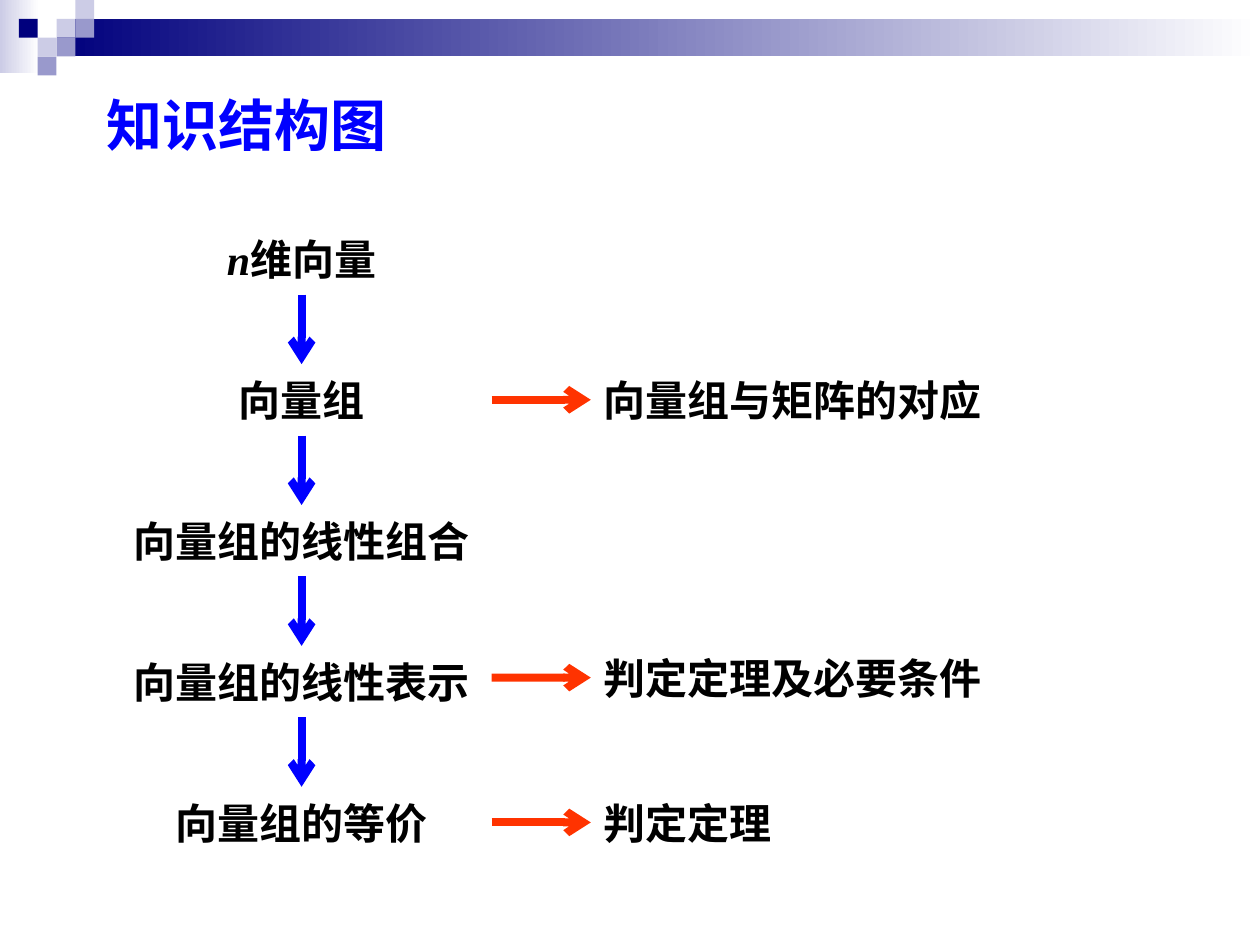
from lxml.etree import SubElement
from pptx import Presentation
from pptx.dml.color import RGBColor
from pptx.enum.shapes import MSO_CONNECTOR as CONN, MSO_SHAPE as SHAPE
from pptx.enum.text import MSO_ANCHOR as ANCHOR, PP_ALIGN as ALIGN
from pptx.oxml.ns import qn
from pptx.util import Cm, Pt


def rgb(value):
    return RGBColor.from_string(value)


class Deck:
    latin = "Times New Roman"
    cjk = "Noto Sans CJK SC"
    navy, lilac, violet, white = "00007D", "CCCCE6", "9999CC", "FFFFFF"
    blue, red, black = "0000FF", "FF3300", "000000"

    def __init__(self, prs):
        self.s = prs.slides.add_slide(prs.slide_layouts[5])

    def style(self, r, size, color, font, italic=False):
        f = r.font
        f.name, f.size, f.bold, f.italic = font, Pt(size), True, italic
        f.color.rgb = rgb(color)
        ea = SubElement(r._r.get_or_add_rPr(), qn("a:ea"))
        ea.set("typeface", self.cjk)

    def rect(self, x, y, w, h, color, fade=False):
        sp = self.s.shapes.add_shape(SHAPE.RECTANGLE, Cm(x), Cm(y), Cm(w), Cm(h))
        sp.shadow.inherit = False
        sp.line.fill.background()
        if fade:
            sp.fill.gradient()
            sp.fill.gradient_angle = 0
            for stop, c in zip(sp.fill.gradient_stops, (color, self.white)):
                stop.color.rgb = rgb(c)
        else:
            sp.fill.solid()
            sp.fill.fore_color.rgb = rgb(color)

    def title(self, text):
        sp = self.s.shapes.title
        sp.left, sp.top, sp.width, sp.height = Cm(1.9), Cm(0.91), Cm(21.59), Cm(3.18)
        tf = sp.text_frame
        tf.text = text
        tf.vertical_anchor = ANCHOR.MIDDLE
        p = tf.paragraphs[0]
        p.alignment = ALIGN.LEFT
        self.style(p.runs[0], 32, self.blue, self.latin)

    def label(self, x, middle, w, text, align, symbol=""):
        h = 1.7
        sp = self.s.shapes.add_textbox(Cm(x), Cm(middle - h / 2), Cm(w), Cm(h))
        tf = sp.text_frame
        tf.word_wrap = True
        tf.vertical_anchor = ANCHOR.MIDDLE
        p = tf.paragraphs[0]
        p.alignment = align
        if symbol:
            r = p.add_run()
            r.text = symbol
            self.style(r, 24, self.black, self.latin, italic=True)
        r = p.add_run()
        r.text = text
        self.style(r, 24, self.black, self.cjk)
        return sp

    def arrow(self, x1, y1, x2, y2, color, target=None):
        c = self.s.shapes.add_connector(CONN.STRAIGHT, Cm(x1), Cm(y1), Cm(x2), Cm(y2))
        c.line.width = Pt(4.5)
        c.line.color.rgb = rgb(color)
        SubElement(c.line._get_or_add_ln(), qn("a:tailEnd")).set("type", "arrow")
        SubElement(c._element.spPr, qn("a:effectLst"))
        if target is not None:
            c.end_connect(target, 1)


def main():
    prs = Presentation()
    prs.slide_width, prs.slide_height = Cm(25.4), Cm(19.05)
    deck = Deck(prs)

    cell = 0.38
    deck.rect(0, 0, 0.79, 1.47, deck.lilac, fade=True)
    deck.rect(3 * cell, cell, 25.4 - 3 * cell, 2 * cell, deck.navy, fade=True)
    squares = [
        (3, 1, deck.lilac), (4, 0, deck.lilac), (4, 1, deck.violet),
        (2, 2, deck.lilac), (1, 1, deck.navy), (3, 2, deck.violet),
        (2, 3, deck.violet),
    ]
    for col, row, color in squares:
        deck.rect(col * cell, row * cell, cell, cell, color)

    deck.title("知识结构图")

    center, first, pitch = 6.08, 5.22, 2.84
    steps = [
        ("n", "维向量", 4.8), ("", "向量组", 4.8), ("", "向量组的线性组合", 10),
        ("", "向量组的线性表示", 10), ("", "向量组的等价", 10),
    ]
    for i, (symbol, text, w) in enumerate(steps):
        y = first + i * pitch
        deck.label(center - w / 2, y, w, text, ALIGN.CENTER, symbol)
        if i < len(steps) - 1:
            deck.arrow(center, y + 0.72, center, y + 2.12, deck.blue)

    notes = [(1, 0, "向量组与矩阵的对应"), (3, -0.08, "判定定理及必要条件"), (4, 0, "判定定理")]
    for row, shift, text in notes:
        y = first + row * pitch + shift
        note = deck.label(11.91, y, 12.19, text, ALIGN.LEFT)
        deck.arrow(9.91, y, 11.91, y, deck.red, note)

    prs.save("out.pptx")


if __name__ == "__main__":
    main()
